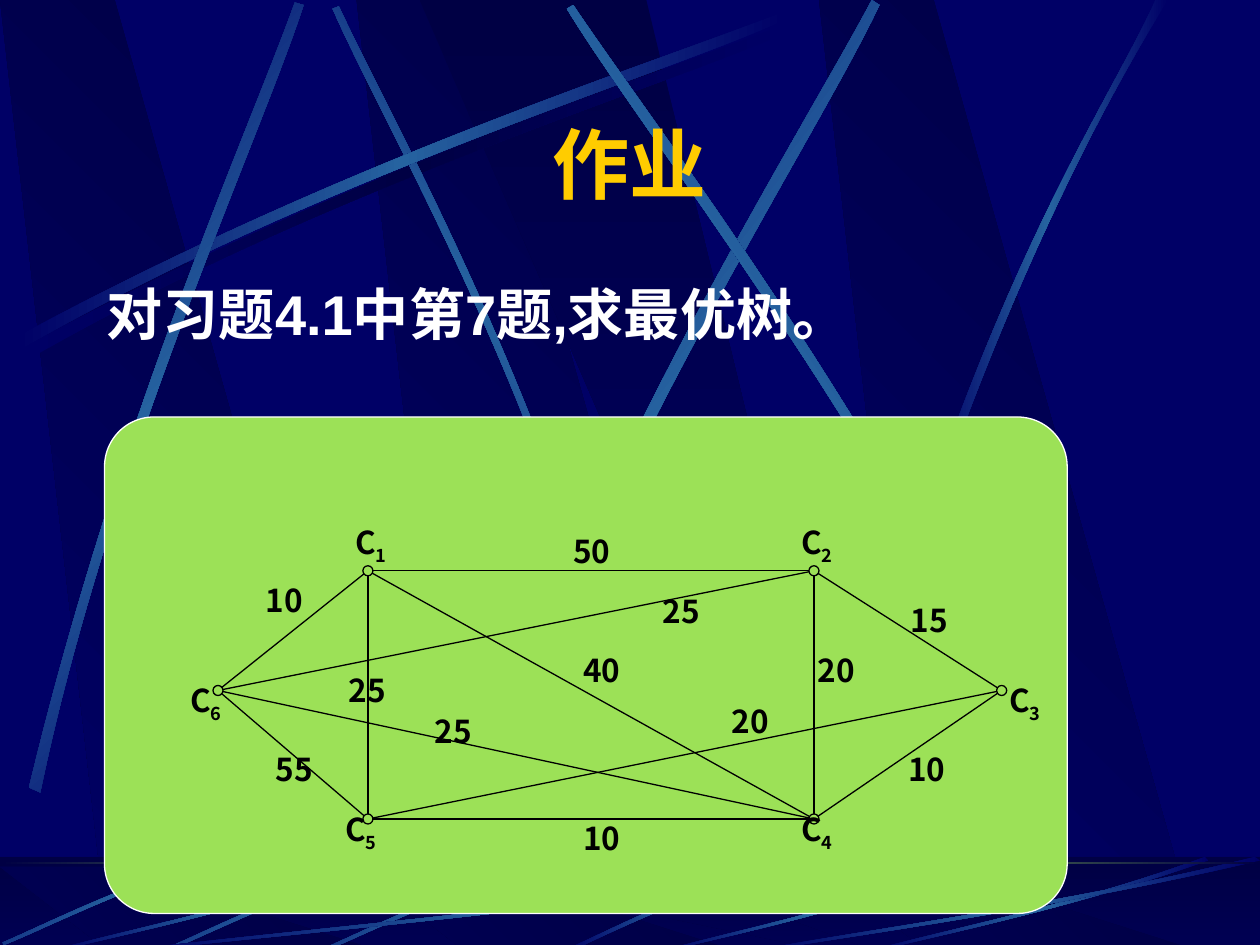
"""Build a homework slide: a weighted graph on a night-blue backdrop of light streaks."""
import copy

import pptx
import pptx.dml.color
import pptx.enum.shapes
import pptx.enum.text
import pptx.oxml
import pptx.oxml.ns
import pptx.util
from lxml import etree

WIDTH, HEIGHT = 10, 7.5
COLORS = {"night": "000066", "dark": "000044", "streak": "2663A0", "green": "9CE157",
          "gold": "FFCC00", "white": "FFFFFF", "black": "000000"}
CJK = "Noto Sans CJK SC"

TITLE = "作业"
TASK = "对习题4.1中第7题,求最优树。"

COLUMNS, ROWS = (1.73, 2.92, 6.46, 7.95), (4.53, 5.48, 6.5)
CITIES = {  # column, row, label offset
    "1": (1, 0, -0.2, -0.43), "2": (2, 0, -0.2, -0.43), "3": (3, 1, -0.04, -0.12),
    "4": (2, 2, -0.2, -0.12), "5": (1, 2, -0.28, -0.12), "6": (0, 1, -0.32, -0.12),
}
ROADS = [
    ("1", "2", "50", 4.45, 4.17), ("1", "6", "10", 2.01, 4.56), ("6", "5", "55", 2.09, 5.9),
    ("1", "5", "25", 2.67, 5.28), ("1", "4", "40", 4.53, 5.12), ("5", "4", "10", 4.53, 6.45),
    ("6", "2", "25", 5.16, 4.65), ("5", "3", "20", 5.71, 5.52), ("2", "3", "15", 7.13, 4.72),
    ("2", "4", "20", 6.39, 5.12), ("3", "4", "10", 7.11, 5.9), ("6", "4", "25", 3.35, 5.6),
]

SLAB = [(0.86, 1), (3.02, 1), (0.91, 0), (0, 0)]
WIDE_SLAB = [(0, 0), (3.25, 1), (3.61, 1), (1.8, 0)]
SLAB_LEFTS = (2.83, 0, 6.5)
WIDE_LEFT = 3.33
FLOOR_TOP, FLOOR_HEIGHT = 6.8, 0.75

SWEEP = [(0.14, 2.67), (2.78, 1.25), (5.18, 0.51), (6.2, 0.1),
         (6.23, 0.16), (5.22, 0.61), (2.48, 1.43), (0.17, 2.77)]
FALLING = [(4.6, 4.36), (3.91, 2.34), (3.02, 0.77), (2.69, 0.05),
           (2.64, 0.07), (2.95, 0.79), (3.98, 2.58), (4.54, 4.39)]
STREAKS = [
    (315, FALLING),
    (180, SWEEP),
    (48.3, [(0.23, 6.25), (0.93, 3.34), (1.97, 1.05), (2.34, 0.02),
            (2.41, 0.04), (2.07, 1.09), (0.86, 3.68), (0.32, 6.29)]),
    (38.4, [(3.85, 6.14), (4.98, 3.2), (6.38, 1.02), (6.92, 0),
            (6.98, 0.04), (6.49, 1.08), (4.86, 3.55), (3.94, 6.21)]),
    (325.2, [(8.06, 5.6), (6.7, 2.93), (5.16, 0.95), (4.55, 0.04),
             (4.5, 0.07), (5.07, 1.01), (6.85, 3.25), (7.99, 5.66)]),
    (180, [(7.38, 3.94), (8.14, 1.73), (8.88, 0.66), (9.17, 0),
           (9.27, 0), (8.36, 1.45), (7.69, 3.22), (7.44, 3.97)]),
]
GLINT = [(6.27, 6.82), (5.37, 7.09), (4.77, 7.42), (4.48, 7.54),
         (4.53, 7.55), (4.9, 7.37), (5.71, 7), (6.28, 6.85)]
SPARK = [(1.86, 0), (0.99, 0.25), (0.31, 0.6), (0, 0.73),
         (0.01, 0.75), (0.32, 0.63), (1.09, 0.23), (1.88, 0.03)]
SPARKS = [(2.56, 6.8), (1.31, 6.8), (0.02, 6.75)]
RIPPLE = [(1, 0.04), (0.57, 0.57), (0.17, 0.85), (0.01, 1),
          (0, 0.99), (0.17, 0.81), (0.62, 0.5), (0.99, 0)]
RIPPLES = [(1, 6.17, 0.75), (0.42, 2.67, 0.75), (5.27, 2.31, 0.66),
           (6.92, 2.67, 0.75), (6, 4, 0.75)]

inch = pptx.util.Inches
qn = pptx.oxml.ns.qn
KIND = pptx.enum.shapes.MSO_SHAPE


def rgb(name):
    return pptx.dml.color.RGBColor.from_string(COLORS[name])


def paint(shape, colors, angle=0, line=None):
    shape.shadow.inherit = False
    if len(colors) == 1:
        shape.fill.solid()
        shape.fill.fore_color.rgb = rgb(colors[0])
    else:
        shape.fill.gradient()
        stops = shape._element.spPr.find(".//" + qn("a:gsLst"))
        for _ in colors[2:]:
            stops.insert(1, copy.deepcopy(stops[0]))
        for index, (stop, color) in enumerate(zip(shape.fill.gradient_stops, colors)):
            stop.position = index / (len(colors) - 1)
            stop.color.rgb = rgb(color)
        shape.fill.gradient_angle = -angle % 360
    if line:
        shape.line.color.rgb = rgb(line)
        shape.line.width = pptx.util.Pt(0.75)
    else:
        shape.line.fill.background()
    return shape


def add_preset(parts, kind, left, top, width, height, colors, angle=0, line=None):
    shape = parts.add_shape(kind, inch(left), inch(top), inch(width), inch(height))
    return paint(shape, colors, angle, line)


def add_outline(parts, points, colors, angle):
    corners = [(inch(x), inch(y)) for x, y in points]
    builder = parts.build_freeform(*corners[0], scale=1.0)
    builder.add_line_segments(corners[1:], close=True)
    return paint(builder.convert_to_shape(), colors, angle)


def add_streak(parts, points, angle=180, middle="streak"):
    shape = add_outline(parts, points, ("night", middle, "night"), angle)
    segments = shape._element.spPr.findall(".//" + qn("a:lnTo"))
    for side in (segments[:3], segments[4:7]):
        bend = etree.Element(qn("a:cubicBezTo"))
        side[0].addprevious(bend)
        for segment in side:
            bend.append(segment[0])
            segment.getparent().remove(segment)


def add_slabs(parts, top, height):
    for left, slab, angle in [(x, SLAB, 135) for x in SLAB_LEFTS] + [(WIDE_LEFT, WIDE_SLAB, 90)]:
        add_outline(parts, [(left + x, top + y * height) for x, y in slab],
                    ("dark", "night"), angle)


def write(frame, text, *, size, font, color, subscript="", align="LEFT", anchor="TOP"):
    frame.word_wrap = True
    frame.vertical_anchor = getattr(pptx.enum.text.MSO_ANCHOR, anchor)
    paragraph = frame.paragraphs[0]
    paragraph.alignment = getattr(pptx.enum.text.PP_ALIGN, align)
    for part in filter(None, (text, subscript)):
        run = paragraph.add_run()
        run.text = part
        run.font.size, run.font.bold = pptx.util.Pt(size), True
        run.font.color.rgb = rgb(color)
        run.font.name = font
        properties = run._r.get_or_add_rPr()
        etree.SubElement(properties, qn("a:ea")).set("typeface", CJK)
        if part == subscript:
            properties.set("baseline", "-25000")


def add_text(parts, left, top, width, height, text, **style):
    box = parts.add_textbox(inch(left), inch(top), inch(width), inch(height))
    write(box.text_frame, text, **style)


def draw_backdrop(slide, master):
    master.background.fill.solid()
    master.background.fill.fore_color.rgb = rgb("night")
    backdrop = slide.shapes.add_group_shape()
    parts = backdrop.shapes
    add_slabs(parts, 0, HEIGHT)
    add_streak(parts, [(x + 0.06, y + 0.08) for x, y in SWEEP], middle="dark")
    for angle, points in STREAKS:
        add_streak(parts, points, angle)
    floor = (KIND.RECTANGLE, 0, FLOOR_TOP, WIDTH, FLOOR_HEIGHT)
    add_preset(parts, *floor, ("dark", "night"), 90)
    add_slabs(parts, 6.88, 0.67)
    veil = add_preset(parts, *floor, ("dark",))
    tint = veil._element.spPr.find(".//" + qn("a:srgbClr"))
    etree.SubElement(tint, qn("a:alpha")).set("val", "50000")
    add_streak(parts, GLINT)
    for left, top in SPARKS:
        add_streak(parts, [(left + x, top + y) for x, y in SPARK], 45)
    for left, width, height in RIPPLES:
        top = FLOOR_TOP + FLOOR_HEIGHT - height
        add_streak(parts, [(left + x * width, top + y * height) for x, y in RIPPLE])
    add_preset(parts, KIND.RECTANGLE, 0, 6.84, WIDTH, 0.02, ("dark", "green", "dark"), 180)
    master.shapes._spTree.insert(2, backdrop._element)


def draw_graph(parts):
    panel = add_preset(parts, KIND.ROUNDED_RECTANGLE, 0.83, 3.31, 7.64, 3.94,
                       ("green",), line="white")
    panel.adjustments[0] = 0.1
    label = {"size": 18, "font": CJK, "color": "black"}
    places = {city: (COLUMNS[c], ROWS[r]) for city, (c, r, _, _) in CITIES.items()}
    for start, end, *_ in ROADS:
        ends = [inch(value) for value in places[start] + places[end]]
        road = parts.add_connector(pptx.enum.shapes.MSO_CONNECTOR.STRAIGHT, *ends)
        road.line.color.rgb = rgb("black")
        road.line.width = pptx.util.Pt(0.75)
        etree.SubElement(road._element.spPr, qn("a:effectLst"))
    for x, y in places.values():
        add_preset(parts, KIND.OVAL, x - 0.04, y - 0.04, 0.08, 0.08, ("green",), line="black")
    for _, _, weight, left, top in ROADS:
        add_text(parts, left, top, 0.63, 0.4, weight, **label)
    for city, (_, _, dx, dy) in CITIES.items():
        x, y = places[city]
        add_text(parts, x + dx, y + dy, 0.79, 0.44, "C", subscript=city, **label)


def main():
    deck = pptx.Presentation()
    deck.slide_width, deck.slide_height = inch(WIDTH), inch(HEIGHT)
    slide = deck.slides.add_slide(deck.slide_layouts[5])
    draw_backdrop(slide, deck.slide_master)
    title = slide.shapes.title
    title.left, title.top, title.width, title.height = map(inch, (0.75, 0.87, 8.5, 0.84))
    write(title.text_frame, TITLE, size=44, font="Montserrat", color="gold",
          align="CENTER", anchor="MIDDLE")
    add_text(slide.shapes, 0.75, 2.17, 8.5, 4.5, TASK, size=32, font="Arial", color="white")
    draw_graph(slide.shapes.add_group_shape().shapes)
    deck.save("out.pptx")


if __name__ == "__main__":
    main()
